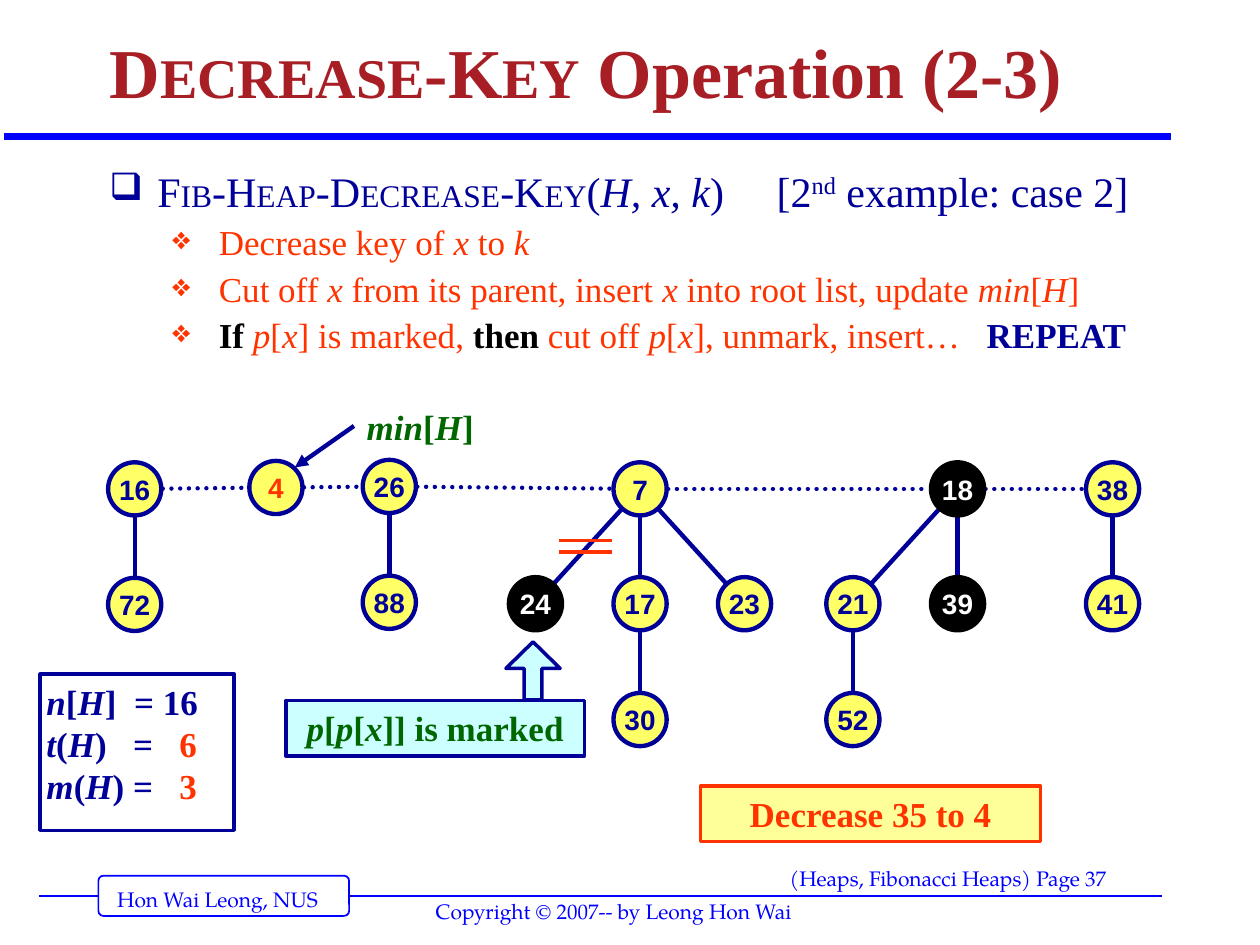
"""Build the Fibonacci heap slide on the second Decrease-Key example."""
import math

import pptx
import pptx.dml.color
import pptx.enum.dml
import pptx.enum.shapes
import pptx.enum.text
import pptx.oxml
import pptx.oxml.ns
import pptx.util

Pt = pptx.util.Pt
RGB = pptx.dml.color.RGBColor.from_string
SHAPE = pptx.enum.shapes.MSO_SHAPE
ALIGN = pptx.enum.text.PP_ALIGN
ANCHOR = pptx.enum.text.MSO_ANCHOR
NS = pptx.oxml.ns.nsdecls("a")
COLOURS = {
    "navy": "000099", "blue": "0000FF", "red": "FF3300", "crimson": "A81E25",
    "green": "006600", "yellow": "FFFF66", "cream": "FFFF99", "cyan": "CCFFFF",
    "black": "000000", "white": "FFFFFF",
}
SERIF, SANS, FOOTER = "Times New Roman", "Arial", "TeX Gyre Pagella"


def write(para, font, *pieces):
    """Add (text, size, colour, bold) pieces; underscores switch italics."""
    for text, size, colour, bold in pieces:
        for index, part in enumerate(text.split("_")):
            if part:
                span = para.add_run()
                span.text = part
                span.font.name = font
                span.font.size = Pt(size)
                span.font.bold = bold
                span.font.italic = index % 2 == 1
                span.font.color.rgb = RGB(COLOURS[colour])


def draw_line(start, end, colour, width):
    """Draw a straight line between two points given in points."""
    line = page.shapes.add_connector(
        pptx.enum.shapes.MSO_CONNECTOR.STRAIGHT, *map(Pt, start + end))
    line.line.color.rgb = RGB(COLOURS[colour])
    line.line.width = Pt(width)
    line._element.spPr.append(pptx.oxml.parse_xml(f"<a:effectLst {NS}/>"))
    return line


deck = pptx.Presentation()
deck.slide_width, deck.slide_height = Pt(720), Pt(540)
page = deck.slides.add_slide(deck.slide_layouts[5])

title = page.shapes.title
title.left, title.top, title.width, title.height = map(Pt, (55.4, 5.8, 612, 62.6))
frame = title.text_frame
frame.auto_size = pptx.enum.text.MSO_AUTO_SIZE.NONE
frame.vertical_anchor = ANCHOR.BOTTOM
para = frame.paragraphs[0]
para.alignment = ALIGN.LEFT
para.line_spacing = 0.9
write(para, SERIF, *[(text, size, "crimson", True) for text, size in (
    ("D", 40), ("ECREASE", 32), ("-K", 40), ("EY", 32), (" Operation (2-3)", 40))])

draw_line((2.2, 77.8), (668.9, 77.8), "blue", 4)
draw_line((22.3, 511.9), (663.8, 511.9), "blue", 1)

panels = [
    (SHAPE.ROUNDED_RECTANGLE, (56.2, 500.4, 143.3, 23), "white", "blue", 1, (0.125,)),
    (SHAPE.RECTANGLE, (23, 385.2, 110.9, 89.3), None, "navy", 2, ()),
    (SHAPE.RECTANGLE, (400.3, 449.3, 194.4, 31.7), "cream", "red", 2, ()),
    (SHAPE.RECTANGLE, (163.4, 400.3, 170.6, 31.7), "cyan", "navy", 2, ()),
    (SHAPE.UP_ARROW, (289.1, 366.8, 31, 33.1), "cyan", "navy", 2, (0.33, 0.49)),
]
boxes = []
for kind, place, fill, outline, width, adjustments in panels:
    box = page.shapes.add_shape(kind, *map(Pt, place))
    box.shadow.inherit = False
    if fill:
        box.fill.solid()
        box.fill.fore_color.rgb = RGB(COLOURS[fill])
    else:
        box.fill.background()
    box.line.color.rgb = RGB(COLOURS[outline])
    box.line.width = Pt(width)
    for index, value in enumerate(adjustments):
        box.adjustments[index] = value
    boxes.append(box)

panel_texts = [
    (boxes[1], ALIGN.LEFT, [
        [("_n_[_H_]  = 16", 20, "navy", True)],
        [("_t_(_H_)   =   ", 20, "navy", True), ("6", 20, "red", True)],
        [("_m_(_H_) =   ", 20, "navy", True), ("3", 20, "red", True)]]),
    (boxes[2], ALIGN.CENTER, [[("Decrease 35 to 4", 20, "red", True)]]),
    (boxes[3], ALIGN.CENTER, [[("_p_[_p_[_x_]] is marked", 20, "green", True)]]),
]
for box, align, rows in panel_texts:
    frame = box.text_frame
    frame.word_wrap = True
    frame.vertical_anchor = ANCHOR.TOP
    frame.margin_left = frame.margin_right = Pt(3.6)
    for index, pieces in enumerate(rows):
        para = frame.add_paragraph() if index else frame.paragraphs[0]
        para.alignment = align
        write(para, SERIF, *pieces)

labels = [
    ((59.8, 503.3, 140, 21.6), FOOTER, ("Hon Wai Leong, NUS", 12, "blue", False)),
    ((444.2, 491, 247.7, 23), FOOTER, ("(Heaps, Fibonacci Heaps) Page 37", 12, "blue", False)),
    ((241.9, 509.8, 226.8, 21.6), FOOTER, ("Copyright © 2007-- by Leong Hon Wai", 12, "blue", False)),
    ((202.4, 228.2, 90, 31), SERIF, ("_min_[_H_]", 20, "green", True)),
]
for place, font, piece in labels:
    box = page.shapes.add_textbox(*map(Pt, place))
    box.text_frame.word_wrap = True
    write(box.text_frame.paragraphs[0], font, piece)

steps = [
    [("F", 24, "navy", False), ("IB", 18, "navy", False), ("-H", 24, "navy", False),
     ("EAP", 18, "navy", False), ("-D", 24, "navy", False),
     ("ECREASE", 18, "navy", False), ("-K", 24, "navy", False),
     ("EY", 18, "navy", False), ("(_H, x, k_)     [2", 24, "navy", False),
     ("nd", 24, "navy", False), (" example: case 2]", 24, "navy", False)],
    [("Decrease key of _x_ to _k_", 20, "red", False)],
    [("Cut off _x_ from its parent, insert _x_ into root list, update _min_[_H_]",
      20, "red", False)],
    [("If ", 20, "black", True), ("_p_[_x_] is marked, ", 20, "red", False),
     ("then", 20, "black", True),
     (" cut off _p_[_x_], unmark, insert…   ", 20, "red", False),
     ("REPEAT", 20, "navy", True)],
]
body = page.shapes.add_textbox(*map(Pt, (55.4, 94.3, 630, 113)))
frame = body.text_frame
frame.word_wrap = True
for index, pieces in enumerate(steps):
    para = frame.add_paragraph() if index else frame.paragraphs[0]
    para.level = 1 if index else 0
    para.line_spacing = 0.9
    para.space_before = Pt(5 if index else 15)
    write(para, SERIF, *pieces)
    margin, hanging, mark, colour = (
        (62.6, 26.6, "❖", "red") if index else (27.4, 27.4, "❑", "navy"))
    properties = para._p.get_or_add_pPr()
    properties.set("marL", str(Pt(margin)))
    properties.set("indent", str(-Pt(hanging)))
    for xml in (f'<a:buClr {NS}><a:srgbClr val="{COLOURS[colour]}"/></a:buClr>',
                f'<a:buSzPct {NS} val="90000"/>',
                f'<a:buChar {NS} char="{mark}"/>'):
        properties.append(pptx.oxml.parse_xml(xml))
for span in frame.paragraphs[0].runs:
    if span.text == "nd":
        span.font._element.set("baseline", "30000")

nodes = {
    "16": (77, 279.4), "4": (157.7, 278.6), "26": (222.5, 278), "7": (365.8, 279.4),
    "18": (547.2, 279.4), "38": (635.8, 279.4),
    "72": (77, 345.4), "88": (222.5, 344.2), "24": (306, 345), "17": (365.8, 345),
    "23": (425.5, 345), "21": (487.4, 345), "39": (547.2, 345), "41": (635.8, 345),
    "30": (365.8, 411.2), "52": (487.4, 411.2),
}
roots = ["16", "4", "26", "7", "18", "38"]
root_links = list(zip(roots, roots[1:]))
child_links = [("16", "72"), ("26", "88"), ("7", "24"), ("7", "17"), ("7", "23"),
               ("17", "30"), ("18", "21"), ("18", "39"), ("21", "52"), ("38", "41")]
marked = {"18", "24", "39"}
diameter, clearance = 30.4, 16

for first, second in root_links + child_links:
    (x1, y1), (x2, y2) = nodes[first], nodes[second]
    ratio = clearance / math.hypot(x2 - x1, y2 - y1)
    dx, dy = (x2 - x1) * ratio, (y2 - y1) * ratio
    link = draw_line((x1 + dx, y1 + dy), (x2 - dx, y2 - dy), "navy", 2.5)
    if (first, second) in root_links:
        link.line.dash_style = pptx.enum.dml.MSO_LINE.ROUND_DOT
        link.line._get_or_add_ln().set("cap", "rnd")

for key, (x, y) in nodes.items():
    node = page.shapes.add_shape(
        SHAPE.OVAL, *map(Pt, (x - diameter / 2, y - diameter / 2, diameter, diameter)))
    node.shadow.inherit = False
    node.fill.solid()
    node.fill.fore_color.rgb = RGB(COLOURS["black" if key in marked else "yellow"])
    node.line.color.rgb = RGB(COLOURS["black" if key in marked else "navy"])
    node.line.width = Pt(2.5)
    frame = node.text_frame
    frame.word_wrap = False
    frame.vertical_anchor = ANCHOR.MIDDLE
    frame.paragraphs[0].alignment = ALIGN.CENTER
    colour = "white" if key in marked else "red" if key == "4" else "navy"
    write(frame.paragraphs[0], SANS, (key, 16, colour, True))

for y in (308.9, 315.4):
    draw_line((319.7, y), (349.6, y), "red", 2)
pointer = draw_line((168.5, 267.1), (202.3, 243.4), "navy", 2.5)
pointer.line._get_or_add_ln().append(
    pptx.oxml.parse_xml(f'<a:headEnd {NS} type="triangle"/>'))

deck.save("out.pptx")
